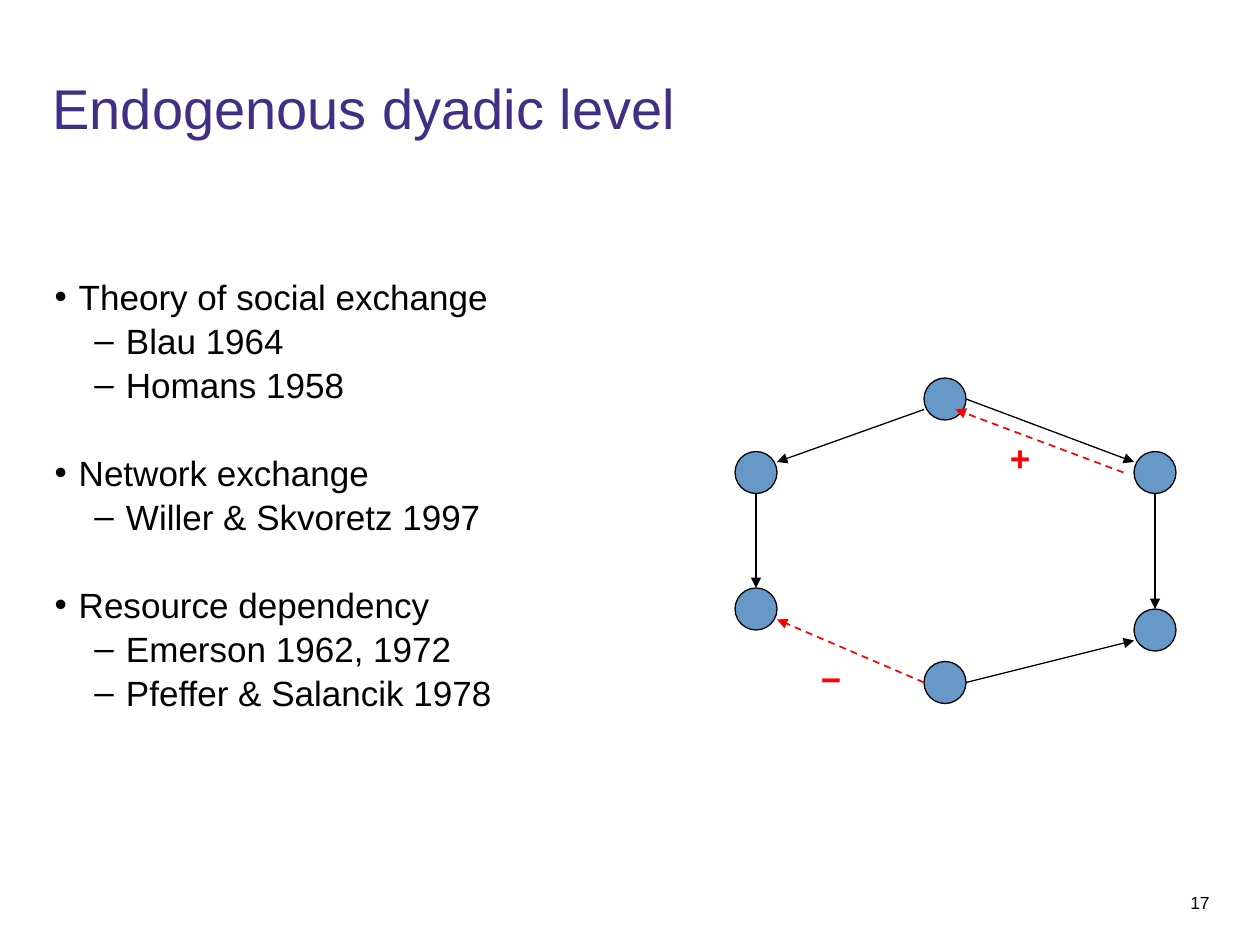
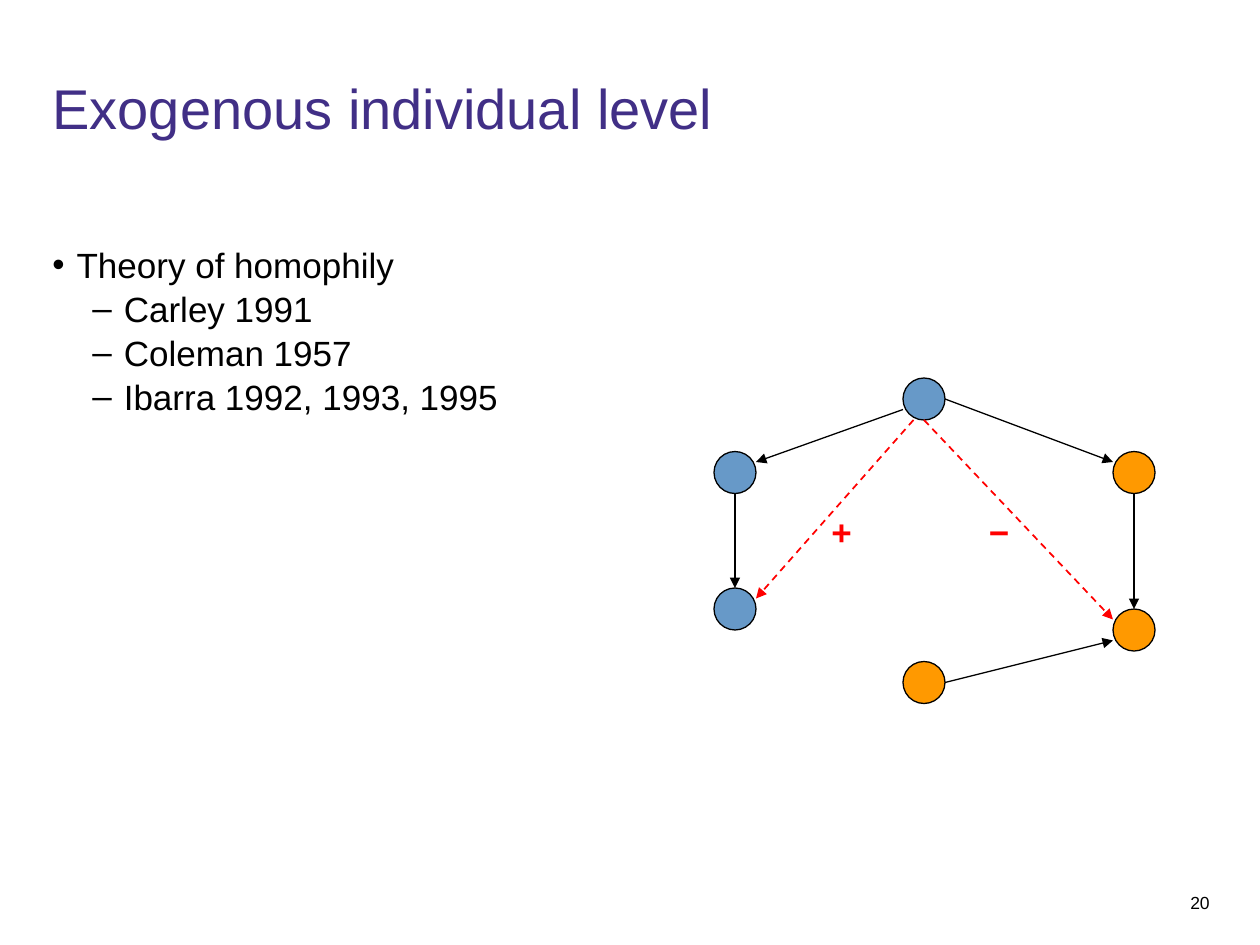
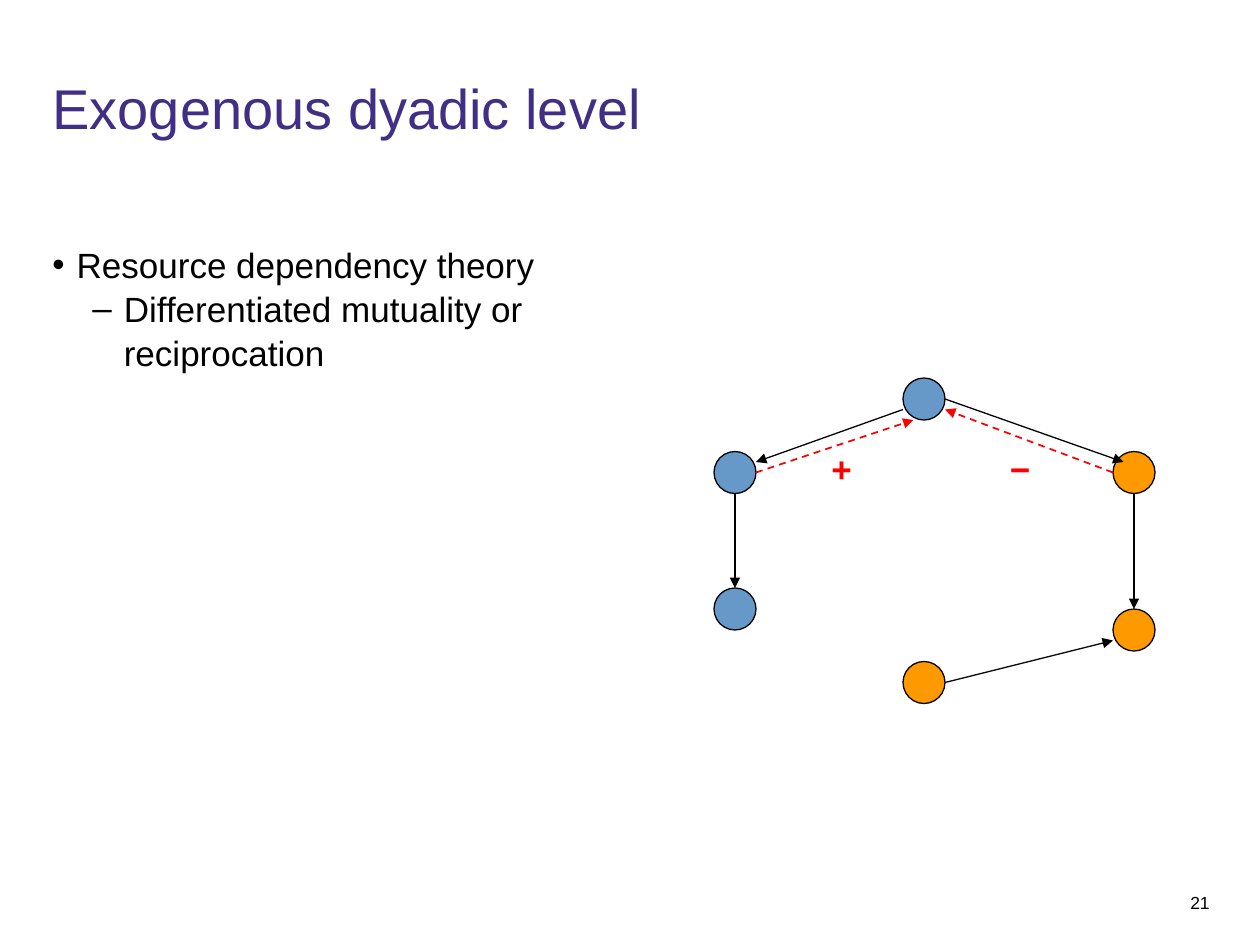
from lxml.etree import SubElement
from pptx import Presentation
from pptx.dml.color import RGBColor
from pptx.enum.dml import MSO_LINE_DASH_STYLE as Dash
from pptx.enum.shapes import MSO_CONNECTOR as Connector, MSO_SHAPE as Shape
from pptx.enum.text import MSO_AUTO_SIZE as AutoSize, PP_ALIGN as Align
from pptx.oxml.ns import qn
from pptx.util import Pt

EMU_PER_PX = 7620  # 120 px to the inch
COLORS = {
    "title": "412F86",
    "text": "000000",
    "accent": "FF0000",
    "blue": "6799C8",
    "orange": "FF9900",
}
FONT = "Arial"
NODE_SIZE = 40
BULLETS = [("•", 23, 23), ("–", 68, 30)]  # character, margin, hanging indent

# Node positions, measured from the left edge of the network.
NODES = {
    "top": (180, 360),
    "upper left": (0, 430),
    "upper right": (380, 430),
    "lower left": (0, 560),
    "lower right": (380, 580),
    "bottom": (180, 630),
}
ORANGE_NODES = ("upper right", "lower right", "bottom")

# An arrow end is a node with an offset from that node's top left corner.
TIES = [
    (("top", 0, 30), ("upper left", 40, 10)),
    (("bottom", 40, 20), ("lower right", 0, 30)),
    (("upper left", 20, 40), ("lower left", 20, 0)),
    (("upper right", 20, 40), ("lower right", 20, 0)),
]

SLIDES = [
    {
        "number": "17",
        "title": "Endogenous dyadic level",
        "body": (52, 260, 509, 540),
        "theories": [
            ("Theory of social exchange", ["Blau 1964", "Homans 1958"]),
            ("Network exchange", ["Willer & Skvoretz 1997"]),
            ("Resource dependency", ["Emerson 1962, 1972", "Pfeffer & Salancik 1978"]),
        ],
        "network left": 700,
        "orange": (),
        "right tie end": ("upper right", 0, 10),
        "effects": [
            (("bottom", 0, 20), ("lower left", 40, 30), "−", (770, 620)),
            (("upper right", -10, 20), ("top", 30, 30), "+", (950, 410)),
        ],
    },
    {
        "number": "20",
        "title": "Exogenous individual level",
        "body": (50, 230, 1097, 540),
        "theories": [
            ("Theory of homophily",
             ["Carley 1991", "Coleman 1957", "Ibarra 1992, 1993, 1995"]),
        ],
        "network left": 680,
        "orange": ORANGE_NODES,
        "right tie end": ("upper right", 0, 10),
        "effects": [
            (("top", 10, 40), ("lower left", 40, 10), "+", (780, 480)),
            (("top", 20, 40), ("lower right", 0, 10), "−", (930, 480)),
        ],
    },
    {
        "number": "21",
        "title": "Exogenous dyadic level",
        "body": (50, 230, 530, 540),
        "theories": [
            ("Resource dependency theory", ["Differentiated mutuality or reciprocation"]),
        ],
        "network left": 680,
        "orange": ORANGE_NODES,
        "right tie end": ("upper right", 10, 10),
        "effects": [
            (("upper left", 40, 20), ("top", 10, 40), "+", (780, 420)),
            (("upper right", 0, 20), ("top", 40, 30), "−", (950, 420)),
        ],
    },
]


def px(*lengths):
    return [length * EMU_PER_PX for length in lengths]


def rgb(name):
    return RGBColor.from_string(COLORS[name])


class Deck:
    """Holds the shared style and the slide being filled."""

    def __init__(self):
        self.presentation = Presentation()
        self.presentation.slide_width, self.presentation.slide_height = px(1200, 900)
        self.slide = None
        self.nodes = {}

    def add_slide(self, title, number):
        layout = self.presentation.slide_layouts[6]
        self.slide = self.presentation.slides.add_slide(layout)
        self.nodes = {}
        self.text((1110, 850, 42, 20), number, 10, align=Align.RIGHT)
        self.text((50, 70, 1097, 120), title, 32, "title")

    def text_frame(self, box, insets=(0, 0)):
        frame = self.slide.shapes.add_textbox(*px(*box)).text_frame
        frame.word_wrap = True
        frame.margin_left = frame.margin_right = px(insets[0])[0]
        frame.margin_top = frame.margin_bottom = px(insets[1])[0]
        return frame

    def format_runs(self, paragraph, size, color="text", bold=False):
        for run in paragraph.runs:
            run.font.name = FONT
            run.font.size = Pt(size)
            run.font.bold = bold
            run.font.color.rgb = rgb(color)

    def text(self, box, words, size, color="text", align=Align.LEFT):
        frame = self.text_frame(box)
        frame.text = words
        paragraph = frame.paragraphs[0]
        paragraph.alignment = align
        self.format_runs(paragraph, size, color)

    def theory_list(self, box, theories):
        frame = self.text_frame(box)
        lines = []
        for theory, details in theories:
            lines.append((theory, 0))
            lines.extend((detail, 1) for detail in details)
        for index, (words, level) in enumerate(lines):
            paragraph = frame.add_paragraph() if index else frame.paragraphs[0]
            paragraph.text = words
            paragraph.level = level
            paragraph.line_spacing = 1.05
            paragraph.space_before = Pt(25 if index and level == 0 else 0)
            self.format_runs(paragraph, 20)
            self.bullet(paragraph, *BULLETS[level])

    def bullet(self, paragraph, character, margin, hanging):
        properties = paragraph._p.get_or_add_pPr()
        properties.set("marL", str(margin * EMU_PER_PX))
        properties.set("indent", str(-hanging * EMU_PER_PX))
        SubElement(properties, qn("a:buFont"), typeface=FONT)
        SubElement(properties, qn("a:buChar"), char=character)

    def node(self, name, left, top, color):
        shape = self.slide.shapes.add_shape(
            Shape.OVAL, *px(left, top, NODE_SIZE, NODE_SIZE))
        shape.shadow.inherit = False
        shape.fill.solid()
        shape.fill.fore_color.rgb = rgb(color)
        shape.line.color.rgb = rgb("text")
        shape.line.width = Pt(0.75)
        self.nodes[name] = shape

    def point(self, end):
        name, right, down = end
        node = self.nodes[name]
        return node.left + right * EMU_PER_PX, node.top + down * EMU_PER_PX

    def arrow(self, start, end, color="text", width=0.75, dash=None):
        connector = self.slide.shapes.add_connector(
            Connector.STRAIGHT, *self.point(start), *self.point(end))
        if end[1:] == (NODE_SIZE // 2, 0):
            connector.end_connect(self.nodes[end[0]], 0)
        line = connector.line
        line.color.rgb = rgb(color)
        line.width = Pt(width)
        if dash:
            line.dash_style = dash
        SubElement(line._get_or_add_ln(), qn("a:tailEnd"), type="triangle")
        SubElement(connector._element.spPr, qn("a:effectLst"))

    def effect(self, start, end, sign, position):
        """Add a dashed arrow and the sign of its effect."""
        self.arrow(start, end, "accent", 1, Dash.DASH)
        frame = self.text_frame((*position, 50, 53), insets=(12, 6))
        frame.auto_size = AutoSize.SHAPE_TO_FIT_TEXT
        frame.text = sign
        frame.paragraphs[0].space_before = Pt(12.5)
        self.format_runs(frame.paragraphs[0], 20, "accent", bold=True)

    def network(self, left, orange, right_tie_end, effects):
        for name, (x, y) in NODES.items():
            self.node(name, left + x, y, "orange" if name in orange else "blue")
        for start, end in [*TIES, (("top", 40, 20), right_tie_end)]:
            self.arrow(start, end)
        for effect in effects:
            self.effect(*effect)


def main():
    deck = Deck()
    for content in SLIDES:
        deck.add_slide(content["title"], content["number"])
        deck.theory_list(content["body"], content["theories"])
        deck.network(content["network left"], content["orange"],
                     content["right tie end"], content["effects"])
    deck.presentation.save("out.pptx")


if __name__ == "__main__":
    main()
